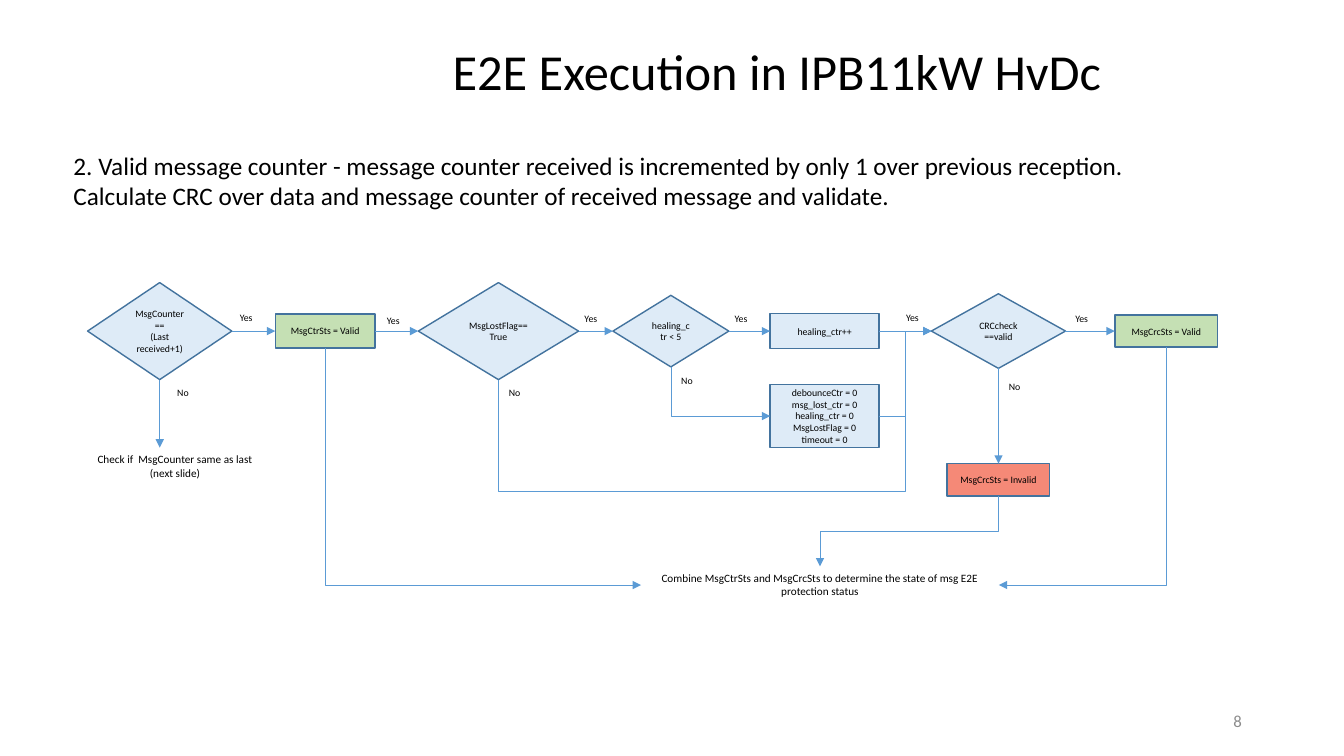
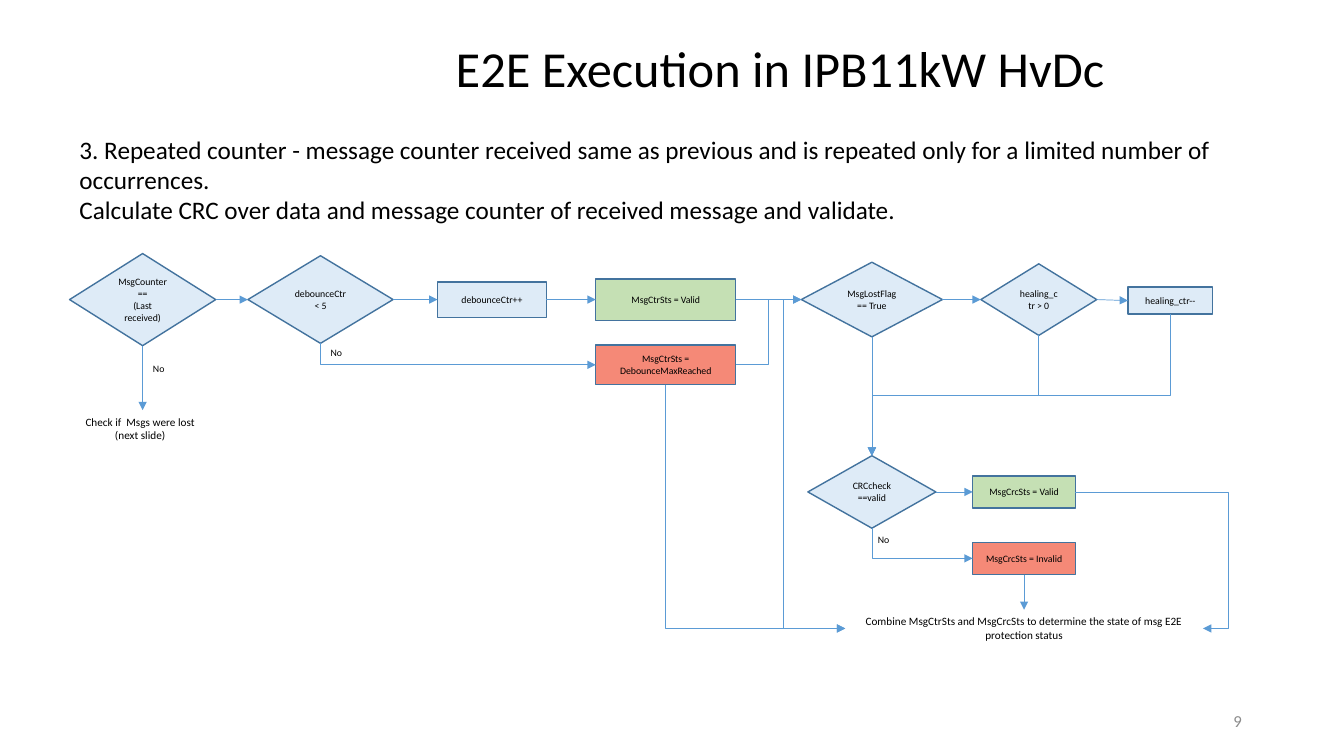
from lxml.etree import SubElement
from pptx import Presentation
from pptx.dml.color import RGBColor
from pptx.enum.shapes import MSO_CONNECTOR, MSO_SHAPE
from pptx.enum.text import MSO_ANCHOR, MSO_AUTO_SIZE, PP_ALIGN
from pptx.oxml.ns import qn
from pptx.util import Pt

COLORS = {
    "text": "000000", "page": "8C8C8C", "edge": "43739E", "arrow": "5B9BD5",
    "step": "DEEBF7", "good": "C5E0B4", "bad": "F58977",
}
FONT = "Calibri"
TITLE = "E2E Execution in IPB11kW HvDc"
COMBINE = ("Combine MsgCtrSts and MsgCrcSts to determine the state of "
           "msg E2E protection status")
TOP, LEFT, BOTTOM, RIGHT = range(4)
RECT, DIAMOND = MSO_SHAPE.RECTANGLE, MSO_SHAPE.DIAMOND
TAG_W, TAG_H = 73.4, 23


def color(name):
    return RGBColor.from_string(COLORS[name])


def write(frame, lines, size, align, tint="text"):
    """Fill a text frame; align is one value or one for each line."""
    aligns = align if isinstance(align, list) else [align] * len(lines)
    for i, (line, side) in enumerate(zip(lines, aligns)):
        para = frame.paragraphs[0] if i == 0 else frame.add_paragraph()
        para.text = line
        para.alignment = side
        para.font.name = FONT
        para.font.size = Pt(size)
        para.font.color.rgb = color(tint)


def add_text(slide, box, lines, size, align=PP_ALIGN.LEFT, tint="text",
             middle=False, wrap=True):
    shape = slide.shapes.add_textbox(*map(Pt, box))
    frame = shape.text_frame
    frame.word_wrap = wrap
    if middle:
        frame.vertical_anchor = MSO_ANCHOR.MIDDLE
    else:
        frame.auto_size = MSO_AUTO_SIZE.SHAPE_TO_FIT_TEXT
    write(frame, lines, size, align, tint)
    return shape


class Flow:
    """A flow chart whose parts are placed from its top left corner."""

    def __init__(self, slide, left, top):
        self.slide, self.left, self.top = slide, left, top

    def node(self, kind, fill, x, mid, w, h, *lines):
        """Add a box with its left edge at x, centred on height mid."""
        shape = self.slide.shapes.add_shape(
            kind, Pt(self.left + x), Pt(self.top + mid - h / 2), Pt(w), Pt(h))
        shape.shadow.inherit = False
        shape.fill.solid()
        shape.fill.fore_color.rgb = color(fill)
        shape.line.color.rgb = color("edge")
        shape.line.width = Pt(1)
        shape.text_frame.word_wrap = True
        shape.text_frame.vertical_anchor = MSO_ANCHOR.MIDDLE
        write(shape.text_frame, lines, 7, PP_ALIGN.CENTER)
        return shape

    def label(self, text, *spots):
        for x, y in spots:
            add_text(self.slide, (self.left + x, self.top + y, 35.3, 15.8),
                     [text], 7)

    def combine(self, x, y):
        return add_text(self.slide, (self.left + x, self.top + y, 255.6, 26.6),
                        [COMBINE], 8, PP_ALIGN.CENTER)

    def check(self, start, x, y, w, text):
        """Add the hint on the next slide and the arrow down to it."""
        add_text(self.slide, (self.left + x, self.top + y, w, 26.6),
                 [text, "(next slide)"], 8,
                 [PP_ALIGN.LEFT, PP_ALIGN.CENTER], wrap=False)
        line = self.wire(MSO_CONNECTOR.STRAIGHT)
        line.begin_connect(start, BOTTOM)
        line.end_x, line.end_y = line.begin_x, Pt(self.top + y)

    def wire(self, kind):
        line = self.slide.shapes.add_connector(kind, 0, 0, 0, 0)
        line.line.color.rgb = color("arrow")
        line.line.width = Pt(0.5)
        SubElement(line.line._get_or_add_ln(), qn("a:tailEnd"), type="triangle")
        SubElement(line._element.spPr, qn("a:effectLst"))
        return line

    def link(self, start, end, out=RIGHT, into=LEFT):
        line = self.wire(MSO_CONNECTOR.STRAIGHT)
        line.begin_connect(start, out)
        line.end_connect(end, into)

    def chain(self, *nodes):
        for start, end in zip(nodes, nodes[1:]):
            self.link(start, end)

    def bend(self, start, out, end, into, *turns):
        """Join with an elbow; turns are the x or y of its inner legs."""
        line = self.wire(MSO_CONNECTOR.ELBOW)
        line.begin_connect(start, out)
        line.end_connect(end, into)
        first = (line.begin_x, line.begin_y)
        span = (line.end_x - first[0], line.end_y - first[1])
        down = out == BOTTOM

        # Inner legs as shares of the span
        geom = line._element.spPr.find(qn("a:prstGeom"))
        geom.set("prst", f"bentConnector{2 + len(turns)}")
        for i, turn in enumerate(turns):
            axis = (i + down) % 2
            place = Pt(turn + (self.left, self.top)[axis])
            share = round((place - first[axis]) / span[axis] * 100000)
            SubElement(geom[0], qn("a:gd"), name=f"adj{i + 1}",
                       fmla=f"val {share}")

        # An elbow that leaves downwards is a turned one
        dx, dy = span
        along, across = dx, dy
        xfrm = line._element.spPr.find(qn("a:xfrm"))
        if down:
            back = dx > 0 and dy > 0
            along, across = (-dy, dx) if back else (dy, -dx)
            xfrm.set("rot", str((270 if back else 90) * 60000))
        xfrm.flipH, xfrm.flipV = along < 0, across < 0
        line.width, line.height = abs(along), abs(across)
        line.left = first[0] + (dx - line.width) // 2
        line.top = first[1] + (dy - line.height) // 2


def frame_slide(deck, number, title, body, lines):
    """Add a slide with its title, body text and page number."""
    slide = deck.slides.add_slide(deck.slide_layouts[6])
    head = add_text(slide, (*title, 692.6, 67.7), [TITLE], 36,
                    PP_ALIGN.CENTER, middle=True)
    head.text_frame.paragraphs[0].line_spacing = 0.9
    add_text(slide, body, lines, 18)
    add_text(slide, (678.2, 500.4, 216, 28.8), [str(number)], 12,
             PP_ALIGN.RIGHT, "page", middle=True)
    return slide


def valid_flow(slide, left, top):
    flow = Flow(slide, left, top)
    row = 36.5
    # Main row
    count = flow.node(DIAMOND, "step", 2.6, row, 103, 69.3,
                      "MsgCounter ==", "(Last received+1)")
    state = flow.node(RECT, "good", 136.6, row, 71.3, 24.5, "MsgCtrSts = Valid")
    lost = flow.node(DIAMOND, "step", 238.8, row, 114.5, 69.3,
                     "MsgLostFlag==True")
    heal = flow.node(DIAMOND, "step", 377.8, row, 82.8, 51.1, "healing_ctr < 5")
    plus = flow.node(RECT, "step", 490.1, row, 77.8, 25.2, "healing_ctr++")
    crc = flow.node(DIAMOND, "step", 605.3, row, 95.8, 53.3, "CRCcheck ==valid")
    good = flow.node(RECT, "good", 736.3, row, TAG_W, TAG_H,
                     "MsgCrcSts = Valid")
    flow.chain(count, state, lost, heal, plus, crc, good)

    # Side branches
    reset = flow.node(RECT, "step", 490.1, 97.2, 77.8, 45.4, "debounceCtr = 0",
                      "msg_lost_ctr = 0", "healing_ctr = 0",
                      "MsgLostFlag = 0", "timeout = 0")
    bad = flow.node(RECT, "bad", 616.5, 142.7, TAG_W, TAG_H,
                    "MsgCrcSts = Invalid")
    flow.bend(heal, BOTTOM, reset, LEFT)
    flow.bend(reset, RIGHT, crc, LEFT, 586.6)
    flow.bend(lost, BOTTOM, crc, LEFT, 151.4, 586.6)
    flow.link(crc, bad, BOTTOM, TOP)
    flow.check(count, 2.6, 119.7, 127.4, "Check if  MsgCounter same as last")

    # Result
    total = flow.combine(397.9, 204.6)
    flow.bend(state, BOTTOM, total, LEFT)
    flow.bend(bad, BOTTOM, total, TOP, 179.4)
    flow.bend(good, BOTTOM, total, RIGHT)

    flow.label("Yes", (104.2, 18.9), (209.3, 21), (350.4, 19.6),
               (457.7, 19.6), (580.1, 18.9), (701, 19.6))
    flow.label("No", (59.5, 72.9), (296.4, 72.9), (419.5, 64.2), (653.5, 68.6))


def repeat_flow(slide, left, top):
    flow = Flow(slide, left, top)
    row, low = 34, 171.4
    # Main row
    count = flow.node(DIAMOND, "step", 1.7, row, 104.4, 65.8,
                      "MsgCounter ==", "(Last received)")
    limit = flow.node(DIAMOND, "step", 129.1, row, 103.7, 62.6,
                      "debounceCtr < 5")
    plus = flow.node(RECT, "step", 264.5, row, 77.8, 25.2, "debounceCtr++")
    state = flow.node(RECT, "good", 377.5, row, 100.1, 29.5,
                      "MsgCtrSts = Valid")
    lost = flow.node(DIAMOND, "step", 524.4, row, 100.8, 53.3,
                     "MsgLostFlag== True")
    heal = flow.node(DIAMOND, "step", 652.6, row, 82.8, 51.1, "healing_ctr > 0")
    minus = flow.node(RECT, "step", 757.7, row + 0.7, 60.5, 19.4,
                      "healing_ctr--")
    flow.chain(count, limit, plus, state, lost, heal, minus)

    # Counter limit
    full = flow.node(RECT, "bad", 377.5, 80.6, 100.1, 28.1,
                     "MsgCtrSts = DebounceMaxReached")
    flow.bend(limit, BOTTOM, full, LEFT)
    flow.bend(full, RIGHT, lost, LEFT, 501)
    flow.check(count, 6, 113, 92.9, "Check if  Msgs were lost")

    # CRC check
    crc = flow.node(DIAMOND, "step", 529.1, low, 91.4, 51.8, "CRCcheck ==valid")
    good = flow.node(RECT, "good", 646.8, low, TAG_W, TAG_H,
                     "MsgCrcSts = Valid")
    bad = flow.node(RECT, "bad", 646.8, low + 47.5, TAG_W, TAG_H,
                    "MsgCrcSts = Invalid")
    flow.link(lost, crc, BOTTOM, TOP)
    for node in (heal, minus):
        flow.bend(node, BOTTOM, crc, TOP, 102.2)
    flow.link(crc, good)
    flow.bend(crc, BOTTOM, bad, LEFT)

    # Result
    total = flow.combine(555.7, 255.6)
    flow.link(bad, total, BOTTOM, TOP)
    flow.bend(full, BOTTOM, total, LEFT)
    flow.bend(state, RIGHT, total, LEFT, 511.4)
    flow.bend(good, RIGHT, total, RIGHT, 829.7)

    flow.label("No", (54.2, 75.6), (181, 64.1), (571.9, 198))


def main():
    deck = Presentation()
    deck.slide_width, deck.slide_height = Pt(960), Pt(540)
    last = ("Calculate CRC over data and message counter of received message "
            "and validate.")

    slide = frame_slide(deck, 8, (208.8, 19.4), (45.4, 103.7, 829.4, 51), [
        "2. Valid message counter - message counter received is incremented "
        "by only 1 over previous reception.", last])
    valid_flow(slide, 60, 200)

    slide = frame_slide(deck, 9, (211, 17.3), (49.7, 92.2, 844.6, 72.7), [
        "3. Repeated counter - message counter received same as previous and "
        "is repeated only for a limited number of occurrences.", last])
    repeat_flow(slide, 48, 180)

    deck.save("out.pptx")


if __name__ == "__main__":
    main()
